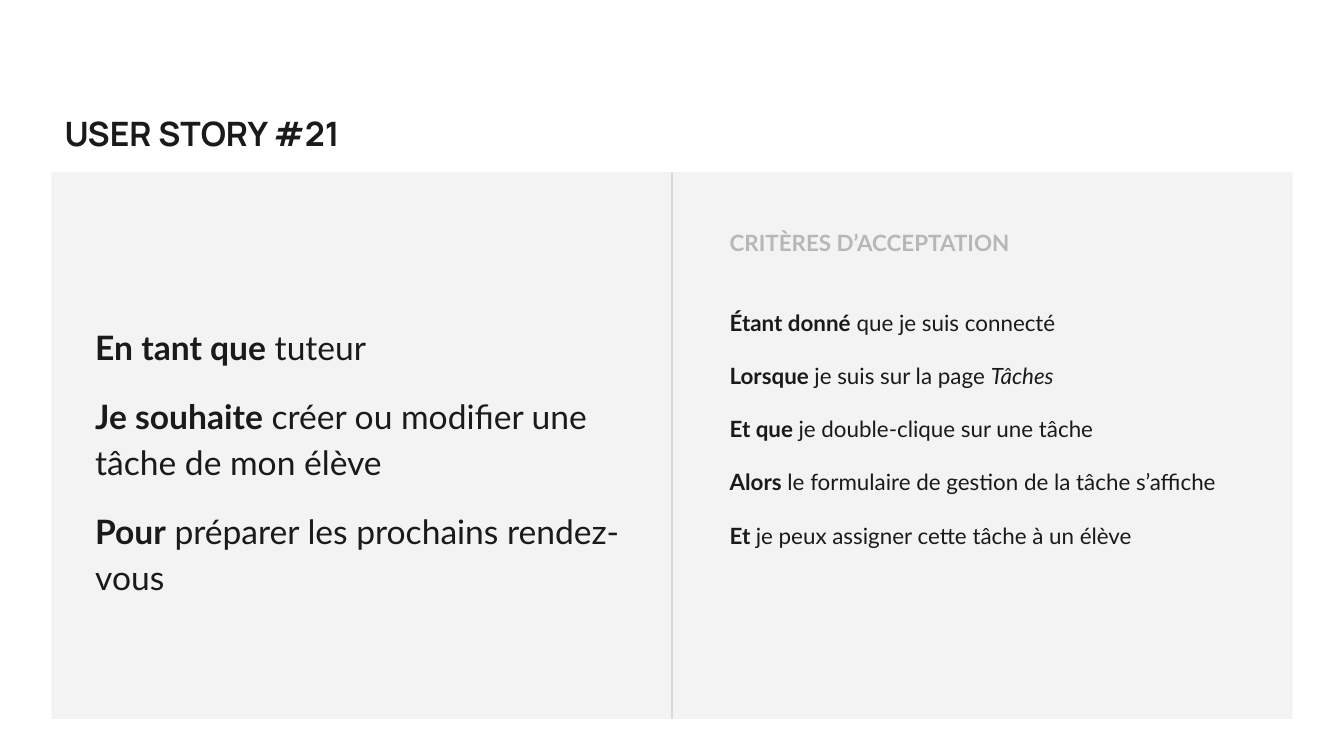
from lxml import etree
from pptx import Presentation
from pptx import util as u
from pptx.dml.color import RGBColor
from pptx.enum import shapes, text
from pptx.oxml.ns import qn

INK, PANEL, RULE, MUTED = "1A1A1A", "F3F3F3", "D9D9D9", "B7B7B7"


def rgb(value):
    return RGBColor.from_string(value)


def write(sp, paras, size, name="Lato", color=INK, spacing=None):
    """Fill a shape with paragraphs, each a list of (text, style) runs."""
    tf = sp.text_frame
    frame = {"word_wrap": True, "auto_size": text.MSO_AUTO_SIZE.NONE,
             "vertical_anchor": text.MSO_ANCHOR.TOP}
    frame.update({f"margin_{side}": u.Cm(0.25)
                  for side in ("left", "top", "right", "bottom")})
    for key, value in frame.items():
        setattr(tf, key, value)
    for i, runs in enumerate(paras):
        p = tf.paragraphs[0] if i == 0 else tf.add_paragraph()
        p.alignment = text.PP_ALIGN.LEFT
        p.line_spacing = spacing
        if i:
            p.space_before = u.Pt(12)
        for content, style in runs:
            r = p.add_run()
            r.text = content
            fmt = {"name": name, "size": u.Pt(size),
                   "bold": style == "b", "italic": style == "i"}
            for key, value in fmt.items():
                setattr(r.font, key, value)
            r.font.color.rgb = rgb(color)


prs = Presentation()
prs.slide_width, prs.slide_height = u.Cm(25.4), u.Cm(14.29)
s = prs.slides.add_slide(prs.slide_layouts[5])

# Panel and its centre divider
left, top, width, height = u.Cm(0.97), u.Cm(3.25), u.Cm(23.46), u.Cm(10.34)
panel = s.shapes.add_shape(shapes.MSO_SHAPE.RECTANGLE, left, top, width, height)
panel.shadow.inherit = False
panel.fill.solid()
panel.fill.fore_color.rgb = rgb(PANEL)
panel.line.fill.background()

middle = left + width // 2
divider = s.shapes.add_connector(
    shapes.MSO_CONNECTOR.STRAIGHT, middle, top, middle, top + height)
divider.line.color.rgb = rgb(RULE)
divider.line.width = u.Pt(0.75)
etree.SubElement(divider._element.spPr, qn("a:effectLst"))

# Title
title = s.shapes.title
box = {"left": left, "top": u.Cm(1.88), "width": u.Cm(6.9), "height": u.Cm(1.37)}
for key, value in box.items():
    setattr(title, key, value)
write(title, [[("USER STORY #21", "b")]], 18, name="Manrope")

# User story
story = s.shapes.add_textbox(u.Cm(1.55), u.Cm(5.82), u.Cm(11.15), u.Cm(6.45))
write(story, [
    [("En tant que", "b"), (" tuteur", "")],
    [("Je souhaite", "b"), (" créer ou modifier une tâche de mon élève", "")],
    [("Pour", "b"), (" préparer les prochains rendez-vous", "")],
], 18, spacing=1.15)

# Acceptance criteria
heading = s.shapes.add_textbox(u.Cm(13.54), u.Cm(4.09), u.Cm(8.33), u.Cm(1.02))
write(heading, [[("CRITÈRES D’ACCEPTATION", "b")]], 12, color=MUTED)

criteria = s.shapes.add_textbox(u.Cm(13.54), u.Cm(5.51), u.Cm(10.11), u.Cm(7.29))
write(criteria, [
    [("Étant donné", "b"), (" que je suis connecté", "")],
    [("Lorsque ", "b"), ("je suis sur la page ", ""), ("Tâches", "i")],
    [("Et que ", "b"), ("je double-clique sur une tâche", "")],
    [("Alors", "b"), (" le formulaire de gestion de la tâche s’affiche", "")],
    [("Et ", "b"), ("je peux assigner cette tâche à un élève", "")],
], 12, spacing=1.15)

prs.save("out.pptx")
